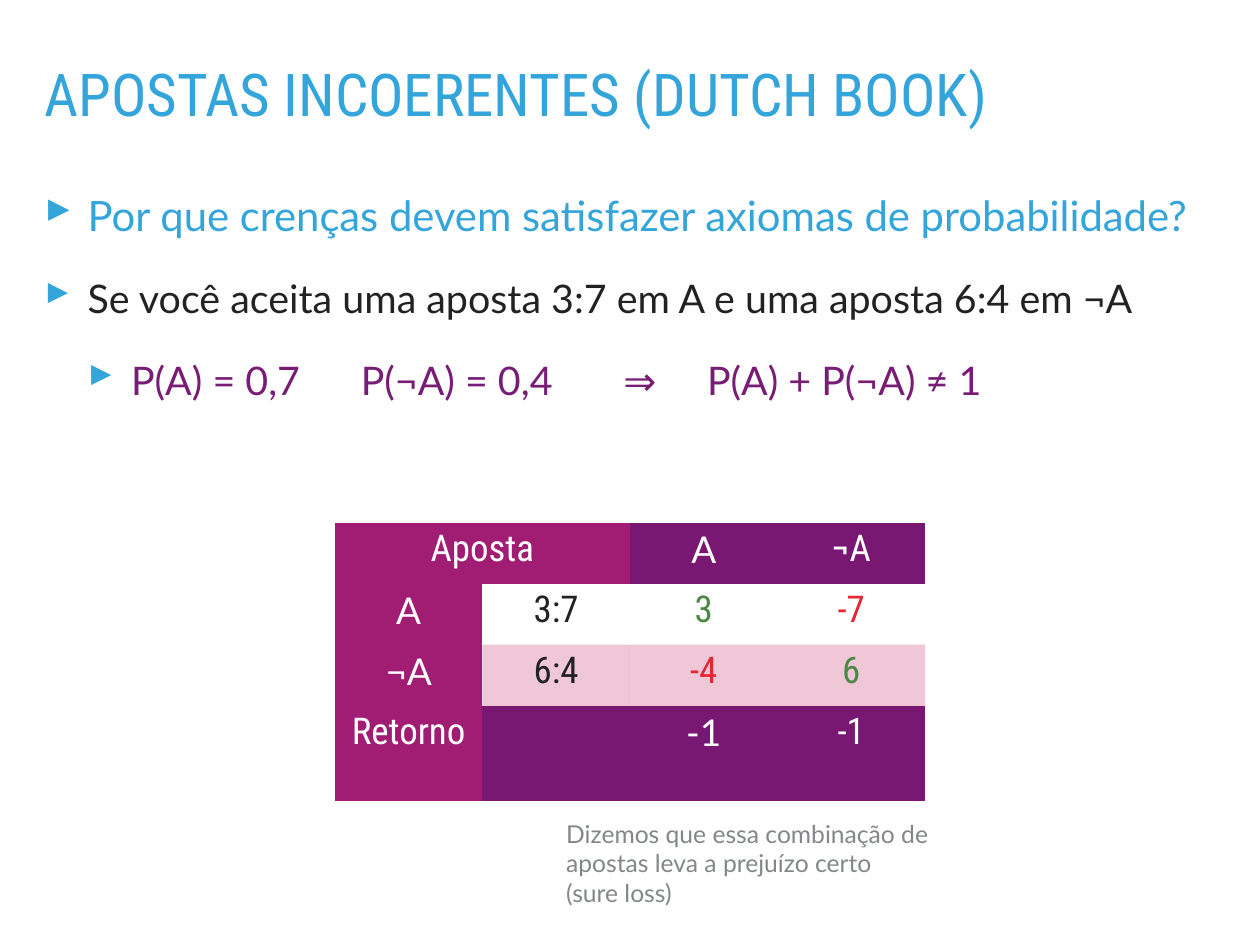
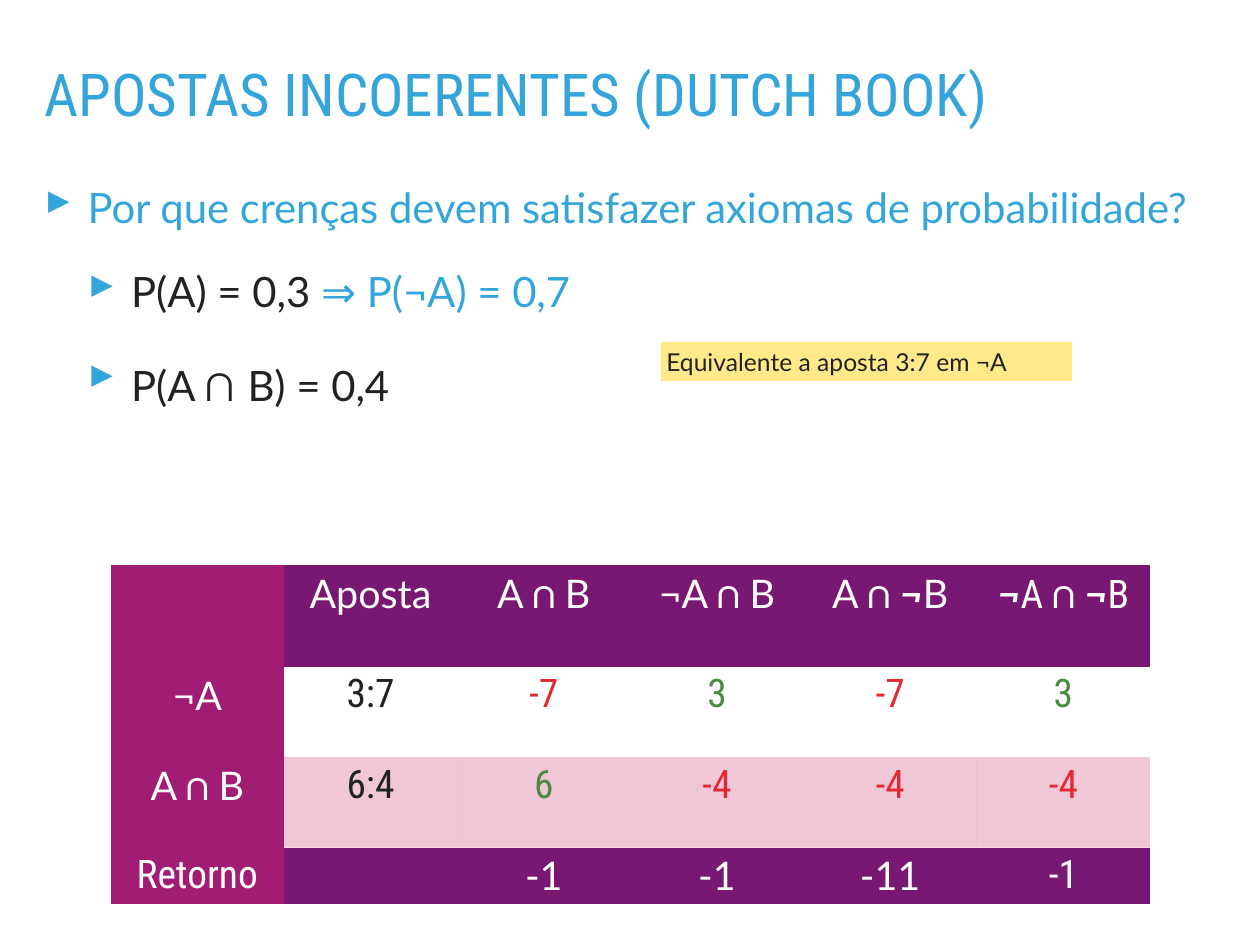
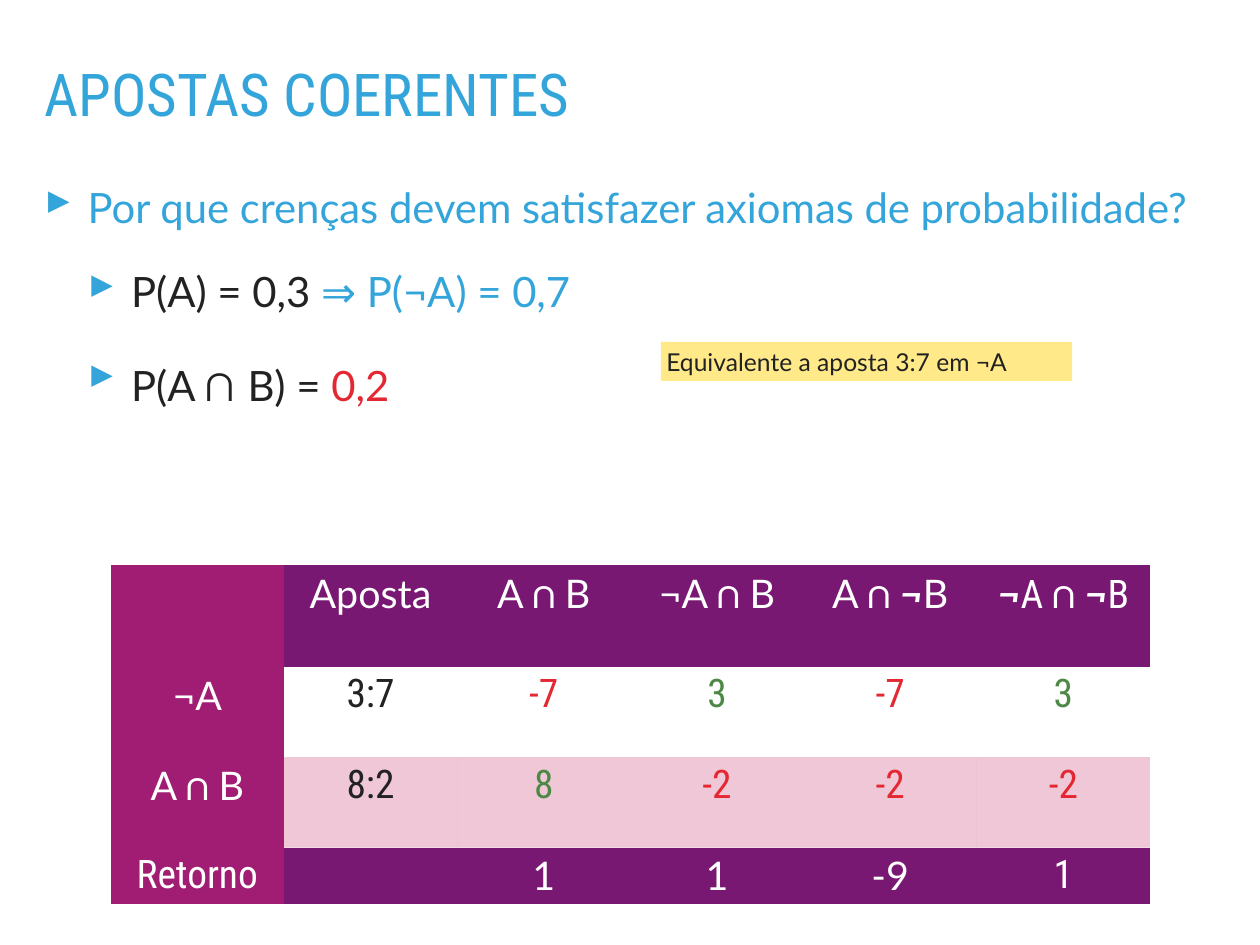
"""Builds three slides on incoherent and coherent bets, with payoff tables."""
from dataclasses import dataclass

from lxml.etree import SubElement
from pptx import Presentation
from pptx.dml.color import RGBColor
from pptx.enum.shapes import MSO_SHAPE
from pptx.enum.text import MSO_ANCHOR, PP_ALIGN
from pptx.oxml.ns import qn
from pptx.util import Inches, Pt


@dataclass(frozen=True)
class Theme:
    blue: str = "34A5DA"
    ink: str = "222222"
    purple: str = "771D76"
    gray: str = "838787"
    white: str = "FFFFFF"
    red: str = "E42832"
    green: str = "4C8945"
    magenta: str = "A01D73"
    violet: str = "781873"
    pink: str = "C52060"
    yellow: str = "FFE989"
    text_font: str = "Lato"
    condensed: str = "Roboto Condensed"
    title_size: int = 48
    lead_size: int = 34
    body_size: int = 32
    symbol_size: int = 41
    note_size: int = 20
    indent: float = 0.49
    bullet_gap: int = 28
    no_grid: str = "{2D5ABB26-0587-4C30-8999-92F81FD0307C}"


THEME = Theme()
INCOHERENT = "APOSTAS INCOERENTES (DUTCH BOOK)"
QUESTION = (0, THEME.lead_size, THEME.blue,
            [("Por que crenças devem satisfazer axiomas de probabilidade?", {})])
EVENTS = ["", "Aposta", "A *∩ *B", "¬A *∩ *B", "A *∩ ¬*B", "*¬*A *∩ ¬*B"]
EVENT_TABLE = {"at": (1.25, 6.38), "column": 1.955, "rows": (1.15, 1.02, 1.02, 0.63),
               "size": 32, "merged": False}
EQUIVALENT = {"text": "Equivalente a aposta 3:7 em ¬A", "at": (7.46, 3.86, 4.64, 0.44),
              "color": THEME.ink, "fill": THEME.yellow}


def event_bullets(*joint_value):
    return [
        QUESTION,
        (1, THEME.lead_size, THEME.ink,
         [("P(A) = 0,3 ", {}), ("⇒ P(¬A) = 0,7", {"color": THEME.blue})]),
        (1, THEME.lead_size, THEME.ink,
         [("P(A ", {}), ("∩ ", {"size": THEME.symbol_size, "italic": True}), *joint_value]),
    ]


SLIDES = [
    {
        "title": INCOHERENT,
        "body_top": 2.08,
        "bullets": [
            QUESTION,
            (0, THEME.body_size, THEME.ink,
             [("Se você aceita uma aposta 3:7 em A e uma aposta 6:4 em ¬A", {})]),
            (1, THEME.body_size, THEME.purple,
             [("P(A) = 0,7", {}), (" ", {"tracking": 41}),
              ("P(¬A) = 0,4", {}), (" ", {"tracking": 49}),
              ("⇒", {}), (" ", {"tracking": 33}), ("P(A) + P(¬A) ≠ 1", {})]),
        ],
        "table": {"at": (3.78, 5.9), "column": 1.665, "rows": (0.69, 0.69, 0.69, 1.08),
                  "size": 30, "merged": True},
        "cells": [
            ["Aposta", "", "A", "¬A"],
            ["A", "3:7", "3", "-7"],
            ["¬A", "6:4", "-4", "6"],
            ["Retorno", "", "-1", "-1"],
        ],
        "note": {"text": "Dizemos que essa combinação de apostas leva a prejuízo certo (sure loss)",
                 "at": (6.33, 9.19, 4.21, 1.11), "color": THEME.gray, "fill": None},
    },
    {
        "title": INCOHERENT,
        "body_top": 1.99,
        "bullets": event_bullets(("B) = 0,4", {})),
        "table": EVENT_TABLE,
        "cells": [
            EVENTS,
            ["¬A", "3:7", "-7", "3", "-7", "3"],
            ["A *∩ *B", "6:4", "6", "-4", "-4", "-4"],
            ["Retorno", "", "-1", "-1", "-11", "-1"],
        ],
        "note": EQUIVALENT,
    },
    {
        "title": "APOSTAS COERENTES",
        "body_top": 1.99,
        "bullets": event_bullets(("B) = ", {}), ("0,2", {"color": THEME.red})),
        "table": EVENT_TABLE,
        "cells": [
            EVENTS,
            ["¬A", "3:7", "-7", "3", "-7", "3"],
            ["A *∩ *B", "8:2", "8", "-2", "-2", "-2"],
            ["Retorno", "", "1", "1", "-9", "1"],
        ],
        "note": EQUIVALENT,
    },
]


def style(font, size=None, color=None, name=None, italic=None, bold=None):
    if size:
        font.size = Pt(size)
    if color:
        font.color.rgb = RGBColor.from_string(color)
    if name:
        font.name = name
    if italic is not None:
        font.italic = italic
    if bold is not None:
        font.bold = bold


def add_spans(para, spans):
    for text, look in spans:
        span = para.add_run()
        span.text = text
        look = dict(look)
        tracking = look.pop("tracking", None)
        style(span.font, **look)
        if tracking:
            span.font._element.set("spc", str(tracking * 100))


def prepare(box, anchor=MSO_ANCHOR.TOP):
    frame = box.text_frame
    frame.word_wrap = True
    frame.vertical_anchor = anchor
    frame.margin_left = frame.margin_right = Inches(0.06)
    frame.margin_top = frame.margin_bottom = Inches(0.06)
    return frame


def add_title(page, text):
    box = page.shapes.add_textbox(Inches(0.44), Inches(0.74), Inches(13.33), Inches(0.79))
    para = prepare(box).paragraphs[0]
    para.line_spacing = 0.8
    style(para.font, THEME.title_size, THEME.blue, THEME.condensed)
    add_spans(para, [(text, {})])


def set_bullet(para, level):
    props = para._p.get_or_add_pPr()
    props.set("marL", str(Inches(THEME.indent * (level + 1))))
    props.set("indent", str(-Inches(THEME.indent)))
    SubElement(SubElement(props, qn("a:buClr")), qn("a:srgbClr")).set("val", THEME.blue)
    SubElement(props, qn("a:buSzPct")).set("val", "105000")
    SubElement(props, qn("a:buChar")).set("char", "▸")


def add_bullets(page, top, bullets):
    box = page.shapes.add_textbox(Inches(0.44), Inches(top), Inches(13.33), Inches(6.68))
    frame = prepare(box)
    for index, (level, size, color, spans) in enumerate(bullets):
        para = frame.add_paragraph() if index else frame.paragraphs[0]
        para.level = level
        set_bullet(para, level)
        if index:
            para.space_before = Pt(THEME.bullet_gap)
        style(para.font, size, color, THEME.text_font)
        add_spans(para, spans)


def add_note(page, text, at, color, fill):
    place = [Inches(length) for length in at]
    if fill:
        box = page.shapes.add_shape(MSO_SHAPE.RECTANGLE, *place)
        box.shadow.inherit = False
        box.fill.solid()
        box.fill.fore_color.rgb = RGBColor.from_string(fill)
        box.line.fill.background()
    else:
        box = page.shapes.add_textbox(*place)
    para = prepare(box, MSO_ANCHOR.MIDDLE).paragraphs[0]
    para.alignment = PP_ALIGN.LEFT
    style(para.font, THEME.note_size, color, THEME.text_font)
    add_spans(para, [(text, {"color": color})])


def fill_cell(cell, color, alpha=None):
    cell.fill.solid()
    cell.fill.fore_color.rgb = RGBColor.from_string(color)
    if alpha:
        shade = cell._tc.tcPr.find(".//" + qn("a:srgbClr"))
        SubElement(shade, qn("a:alpha")).set("val", str(alpha * 1000))


def paint_cell(cell, row, column, last_row):
    if column == 0:
        fill_cell(cell, THEME.magenta)
    elif row in (0, last_row):
        fill_cell(cell, THEME.violet)
    elif row % 2 == 0:
        fill_cell(cell, THEME.pink, 25)
    else:
        cell.fill.background()


def text_color(text, is_value):
    if not is_value:
        return THEME.white
    if ":" in text:
        return THEME.ink
    return THEME.red if text.startswith("-") else THEME.green


def add_table(page, cells, at, column, rows, size, merged):
    count = len(cells[0])
    frame = page.shapes.add_table(len(rows), count, Inches(at[0]), Inches(at[1]),
                                  Inches(column * count), Inches(sum(rows)))
    table = frame.table
    table.first_row = table.horz_banding = False
    table._tbl.tblPr.find(qn("a:tableStyleId")).text = THEME.no_grid
    for index in range(count):
        table.columns[index].width = Inches(column)
    last_row, last_column = len(rows) - 1, count - 1
    for row, texts in enumerate(cells):
        table.rows[row].height = Inches(rows[row])
        for index, text in enumerate(texts):
            cell = table.cell(row, index)
            paint_cell(cell, row, index, last_row)
            cell.margin_left = cell.margin_right = Inches(0.06)
            if not text:
                continue
            is_value = index > 0 and 0 < row < last_row
            corner = row in (0, last_row) and index == 0
            narrow = is_value or corner or index == last_column
            para = cell.text_frame.paragraphs[0]
            para.alignment = PP_ALIGN.CENTER
            style(para.font, size, text_color(text, is_value),
                  THEME.condensed if narrow else THEME.text_font)
            strong = {"name": THEME.text_font, "bold": True, "italic": True}
            add_spans(para, [(part, strong if order % 2 else {})
                             for order, part in enumerate(text.split("*")) if part])
    if merged:
        table.cell(0, 0).merge(table.cell(0, 1))


def main():
    deck = Presentation()
    deck.slide_width, deck.slide_height = Inches(14.22), Inches(10.67)
    for content in SLIDES:
        page = deck.slides.add_slide(deck.slide_layouts[6])
        add_bullets(page, content["body_top"], content["bullets"])
        add_title(page, content["title"])
        add_table(page, content["cells"], **content["table"])
        add_note(page, **content["note"])
    deck.save("out.pptx")


if __name__ == "__main__":
    main()
